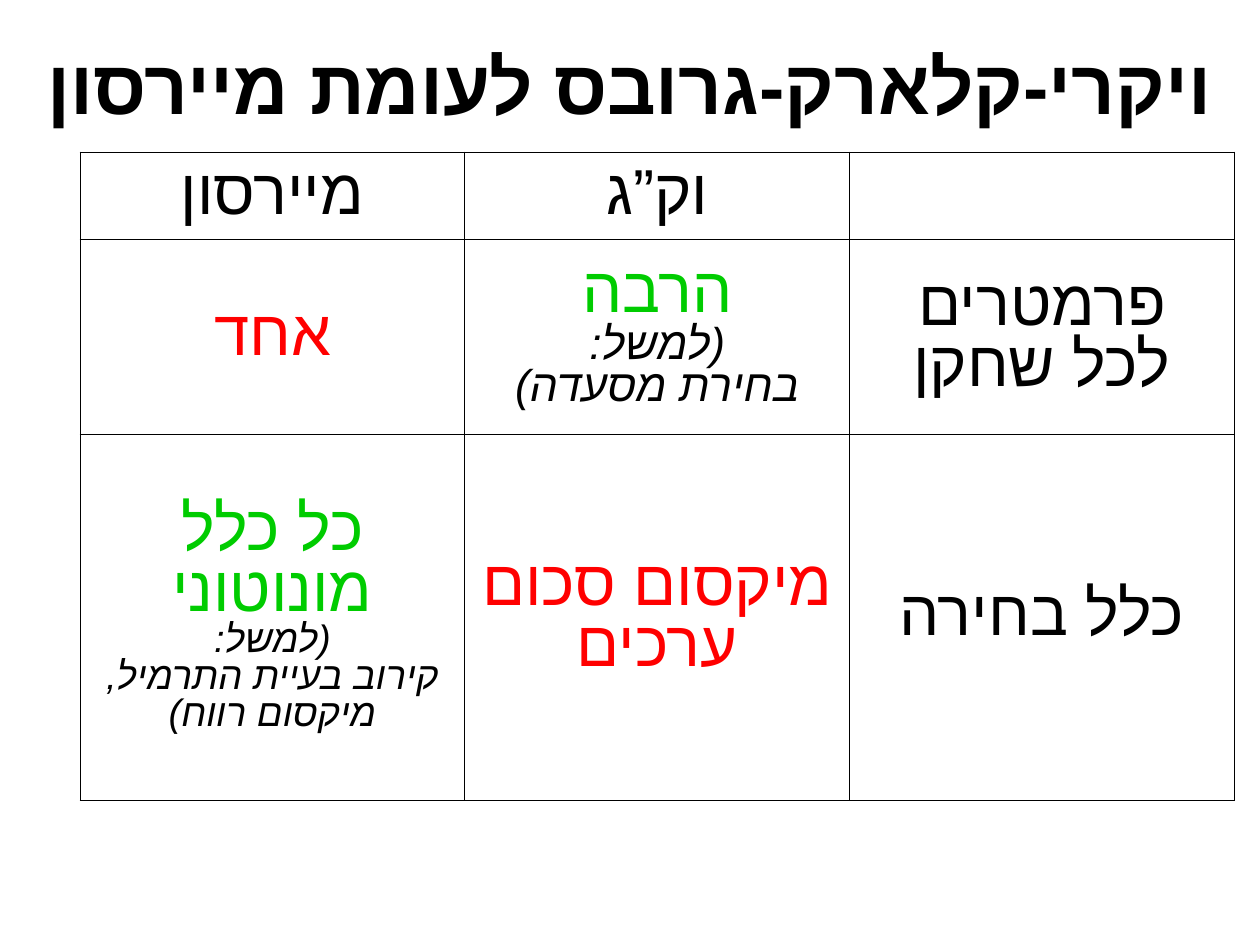
import pptx
import pptx.util
import pptx.dml.color
import pptx.enum.text
import pptx.oxml.ns
from lxml import etree
from pptx.util import Cm, Pt

BLACK = pptx.dml.color.RGBColor(0x00, 0x00, 0x00)
RED = pptx.dml.color.RGBColor(0xFF, 0x00, 0x00)
GREEN = pptx.dml.color.RGBColor(0x00, 0xCC, 0x00)
FONT = "Arial"
MIDDLE = pptx.enum.text.MSO_ANCHOR.MIDDLE

COLUMN_WIDTH = Cm(8.55)
ROW_HEIGHTS = [Cm(1.95), Cm(4.33), Cm(8.13)]

# Each cell: main text, its colour, example lines, example size
CELLS = [
    [("מיירסון", BLACK), ("וק”ג", BLACK), None],
    [
        ("אחד", RED),
        ("הרבה", GREEN, ["(למשל:", "בחירת מסעדה)"], 28),
        ("פרמטרים לכל שחקן", BLACK),
    ],
    [
        ("כל כלל מונוטוני", GREEN,
         ["(למשל:", "קירוב בעיית התרמיל, מיקסום רווח)"], 24),
        ("מיקסום סכום ערכים", RED),
        ("כלל בחירה", BLACK),
    ],
]


def format_paragraph(p, spacing):
    """Centre a right-to-left paragraph."""
    p.alignment = pptx.enum.text.PP_ALIGN.CENTER
    p.line_spacing = spacing
    p._p.get_or_add_pPr().set("rtl", "1")


def add_run(p, text, size, color, bold=False, italic=False):
    r = p.add_run()
    r.text = text
    r.font.name = FONT
    r.font.size = Pt(size)
    r.font.bold = bold
    r.font.italic = italic
    r.font.color.rgb = color
    cs = etree.SubElement(r.font._element, pptx.oxml.ns.qn("a:cs"))
    cs.set("typeface", FONT)


def add_title(slide, text):
    sp = slide.shapes.add_textbox(Cm(0), Cm(0.36), Cm(28), Cm(3))
    tf = sp.text_frame
    tf.word_wrap = True
    tf.vertical_anchor = MIDDLE
    tf.margin_left = tf.margin_right = tf.margin_top = tf.margin_bottom = 0
    p = tf.paragraphs[0]
    format_paragraph(p, 1.0)
    add_run(p, text, 48, BLACK, bold=True)


def add_borders(cell):
    tcPr = cell._tc.get_or_add_tcPr()
    for side in ("lnL", "lnR", "lnT", "lnB"):
        ln = etree.SubElement(tcPr, pptx.oxml.ns.qn("a:" + side))
        ln.set("w", str(Pt(0.57)))
        fill = etree.SubElement(ln, pptx.oxml.ns.qn("a:solidFill"))
        color = etree.SubElement(fill, pptx.oxml.ns.qn("a:srgbClr"))
        color.set("val", str(BLACK))


def fill_cell(cell, text, color, example=(), example_size=None):
    p = cell.text_frame.paragraphs[0]
    format_paragraph(p, 0.86)
    add_run(p, text, 40, color)
    if example:
        p = cell.text_frame.add_paragraph()
        format_paragraph(p, 0.86)
        for i, line in enumerate(example):
            if i:
                p.add_line_break()
            add_run(p, line, example_size, BLACK, italic=True)


def add_comparison_table(slide):
    rows, cols = len(CELLS), len(CELLS[0])
    frame = slide.shapes.add_table(rows, cols, Cm(1.78), Cm(3.38),
                                   COLUMN_WIDTH * cols, sum(ROW_HEIGHTS))
    table = frame.table
    table.first_row = table.horz_banding = False
    for column in table.columns:
        column.width = COLUMN_WIDTH
    for row, height, contents in zip(table.rows, ROW_HEIGHTS, CELLS):
        row.height = height
        for cell, content in zip(row.cells, contents):
            add_borders(cell)
            cell.fill.background()
            cell.vertical_anchor = MIDDLE
            if content:
                fill_cell(cell, *content)


def main():
    prs = pptx.Presentation()
    prs.slide_width, prs.slide_height = Cm(28), Cm(21)
    slide = prs.slides.add_slide(prs.slide_layouts[6])
    add_title(slide, "ויקרי-קלארק-גרובס לעומת מיירסון")
    add_comparison_table(slide)
    prs.save("out.pptx")


if __name__ == "__main__":
    main()
